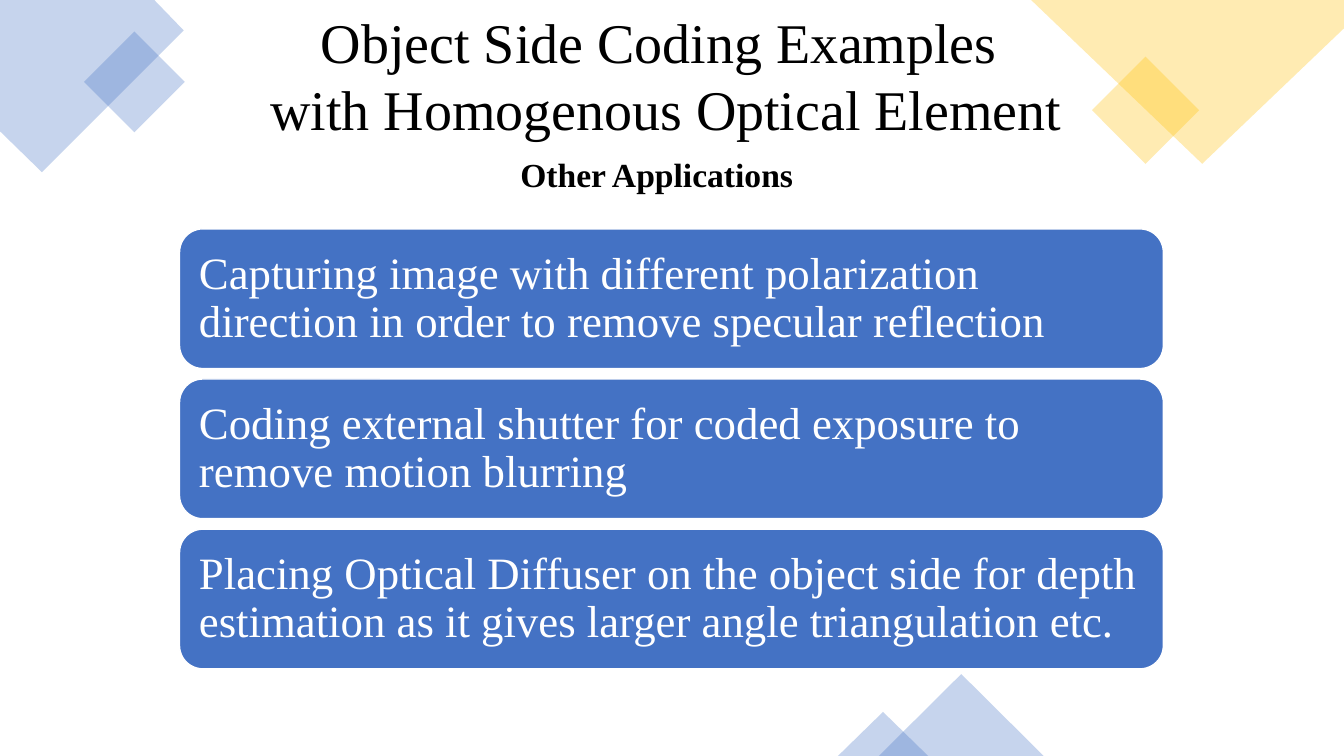
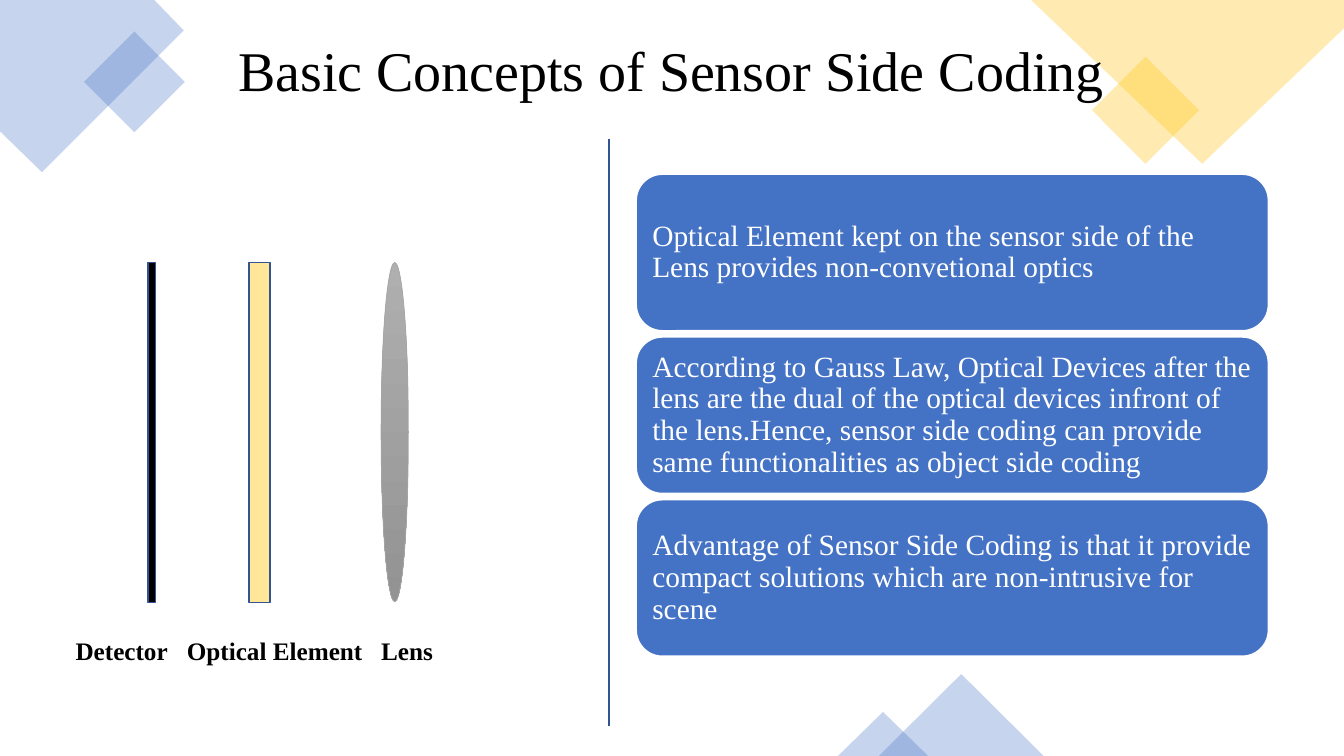
from lxml.etree import SubElement
from pptx import Presentation
from pptx.dml.color import RGBColor
from pptx.enum.shapes import MSO_CONNECTOR, MSO_SHAPE as Preset
from pptx.enum.text import MSO_ANCHOR as Anchor, MSO_AUTO_SIZE as AutoSize, PP_ALIGN as Align
from pptx.oxml.ns import qn
from pptx.util import Pt

EMU_PER_PX = 9525
WIDTH, HEIGHT = 1280, 720
FONT = "Times New Roman"
BLUE, GOLD, CREAM = "4472C4", "FFC000", "FFE699"
OUTLINE, BLACK, WHITE = "325491", "000000", "FFFFFF"
GREY, LIGHT_GREY, DARK_GREY = "A5A5A5", "AFAFAF", "939393"


def px(*lengths):
    """Turn px lengths into EMU."""
    return [length * EMU_PER_PX for length in lengths]


def rgb(color):
    """Turn a hex string into a colour."""
    return RGBColor.from_string(color)


def write(frame, lines, size, color=BLACK, bold=False, align=Align.LEFT,
          anchor=Anchor.TOP, insets=(10, 5), spacing=None):
    """Fill a text frame with one paragraph for each line."""
    frame.word_wrap = True
    frame.auto_size = AutoSize.NONE
    frame.vertical_anchor = anchor
    frame.margin_left = frame.margin_right = px(insets[0])[0]
    frame.margin_top = frame.margin_bottom = px(insets[1])[0]
    for index, line in enumerate(lines):
        paragraph = frame.add_paragraph() if index else frame.paragraphs[0]
        paragraph.alignment = align
        if spacing:
            paragraph.line_spacing = spacing
        run = paragraph.add_run()
        run.text = line
        run.font.name = FONT
        run.font.size = Pt(size)
        run.font.bold = bold
        run.font.color.rgb = rgb(color)


def paint(shape, fill, line=None, weight=1, opacity=None):
    """Give a shape its flat fill and outline."""
    shape.shadow.inherit = False
    shape.fill.solid()
    shape.fill.fore_color.rgb = rgb(fill)
    if opacity:
        tint = next(shape.element.iter(qn("a:srgbClr")))
        SubElement(tint, qn("a:alpha")).set("val", str(opacity * 1000))
    if line:
        shape.line.color.rgb = rgb(line)
        shape.line.width = Pt(weight)
    else:
        shape.line.fill.background()
    return shape


def add_preset(slide, preset, box, fill, **style):
    """Add a painted preset shape."""
    return paint(slide.shapes.add_shape(preset, *px(*box)), fill, **style)


def add_corner(slide, points, fill):
    """Add a translucent polygon."""
    start, *others = [px(*point) for point in points]
    outline = slide.shapes.build_freeform(*start)
    outline.add_line_segments(others, close=True)
    return paint(outline.convert_to_shape(), fill, opacity=30)


def add_label(slide, box, text, size, **style):
    """Add a bold text box."""
    write(slide.shapes.add_textbox(*px(*box)).text_frame, [text], size, bold=True, **style)


def add_cards(slide, texts, box, pitch, size, inset):
    """Stack rounded cards at an equal pitch."""
    left, top, width, height = box
    for row, text in enumerate(texts):
        card = add_preset(slide, Preset.ROUNDED_RECTANGLE,
                          (left, top + row * pitch, width, height), BLUE, line=WHITE)
        write(card.text_frame, [text], size, WHITE, anchor=Anchor.MIDDLE,
              insets=(inset, inset), spacing=0.9)


def add_divider(slide, x, top, bottom):
    """Add a vertical rule."""
    divider = slide.shapes.add_connector(MSO_CONNECTOR.STRAIGHT, *px(x, top, x, bottom))
    divider.line.color.rgb = rgb(OUTLINE)
    divider.line.width = Pt(1.5)
    SubElement(divider.element.spPr, qn("a:effectLst"))


def add_lens(slide, box):
    """Add the shaded lens."""
    lens = add_preset(slide, Preset.OVAL, box, GREY, line=GREY, weight=0.5)
    lens.fill.gradient()
    lens.fill.gradient_angle = 270
    for stop, shade in zip(lens.fill.gradient_stops, (LIGHT_GREY, DARK_GREY)):
        stop.color.rgb = rgb(shade)


def set_title(slide, box, lines):
    """Place and format the slide title."""
    title = slide.shapes.title
    title.left, title.top, title.width, title.height = px(*box)
    write(title.text_frame, lines, 40, align=Align.CENTER, spacing=Pt(48))


def decorate_layout(layout, slide):
    """Move the shared corner decoration from a slide to its layout."""
    for placeholder in list(layout.placeholders)[1:]:
        layout.shapes.element.remove(placeholder.element)
    decoration = [
        add_corner(slide, [(0, 0), (147, 0), (175, 29), (40, 164), (0, 125)], BLUE),
        add_corner(slide, [(982, 0), (1280, 0), (1280, 27), (1145, 156)], GOLD),
    ]
    for preset, box, fill in (
        (Preset.DIAMOND, (80, 30, 96, 96), BLUE),
        (Preset.DIAMOND, (1040, 54, 102, 102), GOLD),
        (Preset.ISOSCELES_TRIANGLE, (837, 642, 157, 78), BLUE),
        (Preset.ISOSCELES_TRIANGLE, (798, 678, 86, 42), BLUE),
    ):
        decoration.append(add_preset(slide, preset, box, fill, opacity=30))
    for shape in decoration:
        layout.shapes.element.append(shape.element)


def build_applications(slide):
    """Build the slide on object side coding."""
    set_title(slide, (0, 2, 1255, 139),
              ["Object Side Coding Examples", " with Homogenous Optical Element"])
    add_label(slide, (315, 142, 629, 48), "Other Applications ", 24, align=Align.CENTER)
    add_cards(slide, [
        "Capturing image with different polarization direction in order to remove "
        "specular reflection",
        "Coding external shutter for coded exposure to remove motion blurring",
        "Placing Optical Diffuser on the object side for depth estimation as it gives "
        "larger angle triangulation etc.",
    ], (171, 218, 937, 133), 143, 32, 12)


def build_concepts(slide):
    """Build the slide on sensor side coding."""
    set_title(slide, (201, 29, 876, 74), ["Basic Concepts of Sensor Side Coding"])
    add_cards(slide, [
        "Optical Element kept on the sensor side of the Lens provides non-convetional optics",
        "According to Gauss Law, Optical Devices after the lens are the dual of the optical "
        "devices infront of the lens.Hence, sensor side coding can provide same "
        "functionalities as object side coding",
        "Advantage of Sensor Side Coding is that it provide compact solutions which are "
        "non-intrusive for scene",
    ], (606, 166, 602, 149), 155, 21, 8)
    add_divider(slide, 580, 132, 691)
    add_preset(slide, Preset.RECTANGLE, (237, 250, 20, 324), CREAM, line=OUTLINE)
    add_lens(slide, (363, 250, 26, 323))
    add_preset(slide, Preset.RECTANGLE, (141, 250, 7, 324), BLACK, line=OUTLINE)
    for left, width, part in ((72, 100, "Detector"), (178, 180, "Optical Element"),
                              (363, 60, "Lens")):
        add_label(slide, (left, 600, width, 38), part, 18, insets=(0, 5))


def main():
    """Build and save the presentation."""
    deck = Presentation()
    deck.slide_width, deck.slide_height = px(WIDTH, HEIGHT)
    layout = deck.slide_layouts[5]
    applications, concepts = [deck.slides.add_slide(layout) for _ in range(2)]
    decorate_layout(layout, applications)
    build_applications(applications)
    build_concepts(concepts)
    deck.save("out.pptx")


if __name__ == "__main__":
    main()
